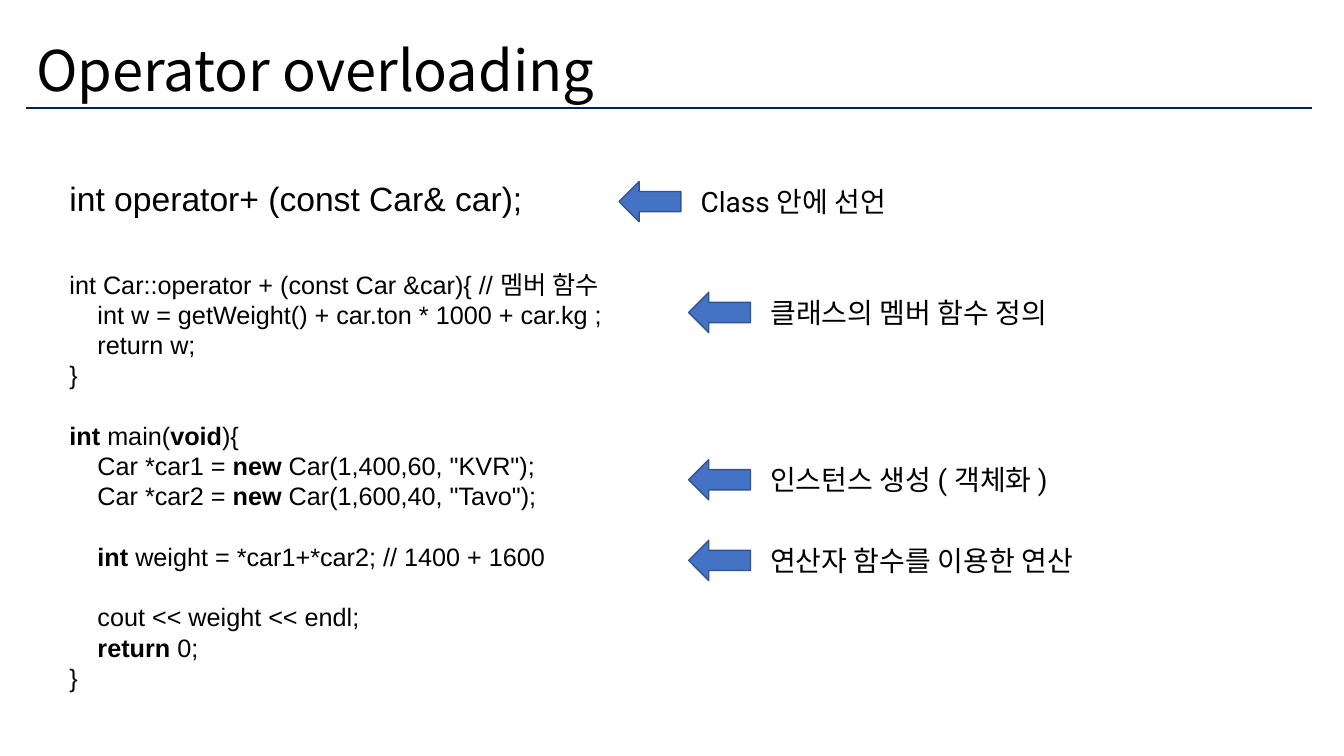
from pptx import Presentation
from pptx.dml.color import RGBColor
from pptx.enum.shapes import MSO_CONNECTOR, MSO_SHAPE
from pptx.enum.text import MSO_ANCHOR
from pptx.oxml.ns import qn
from pptx.util import Inches, Pt
from lxml import etree

LEFT_ARROW = MSO_SHAPE.LEFT_ARROW
STRAIGHT = MSO_CONNECTOR.STRAIGHT
TOP, MIDDLE = MSO_ANCHOR.TOP, MSO_ANCHOR.MIDDLE
BLACK = RGBColor(0x00, 0x00, 0x00)
NAVY = RGBColor(0x00, 0x20, 0x60)
BLUE = RGBColor(0x44, 0x72, 0xC4)
BLUE_EDGE = RGBColor(0x32, 0x54, 0x91)
KOREAN_FONT = "Noto Sans CJK KR"
LABEL_FONT = "Roboto"
CODE_FONT = "Arial"

deck = Presentation()
deck.slide_width, deck.slide_height = Inches(13.33), Inches(7.5)
page = deck.slides.add_slide(deck.slide_layouts[6])

# The page is a grid of 100 columns by 100 rows.
COLUMN = deck.slide_width / 100
ROW = deck.slide_height / 100


def style_span(span, font, size, bold=False):
    """Set the Latin and Korean fonts, size, weight and colour of a run."""
    span.font.name, span.font.size, span.font.bold = font, Pt(size), bold
    span.font.color.rgb = BLACK
    korean = etree.SubElement(span.font._element, qn("a:ea"))
    korean.set("typeface", KOREAN_FONT)


def add_text(text, column, row, columns, rows, font, size, anchor=TOP):
    """Add a one-style text box placed on the grid and return it."""
    box = page.shapes.add_textbox(
        int(column * COLUMN), int(row * ROW), int(columns * COLUMN), int(rows * ROW))
    box.text_frame.word_wrap = True
    box.text_frame.vertical_anchor = anchor
    box.text_frame.text = text
    for span in box.text_frame.paragraphs[0].runs:
        style_span(span, font, size)
    return box


# Title and its rule
title = add_text("Operator overloading", 1.95, 0, 97.15, 19.33, KOREAN_FONT, 40, MIDDLE)
title.text_frame.paragraphs[0].line_spacing = 0.9
rule_row = int(14.27 * ROW)
rule = page.shapes.add_connector(
    STRAIGHT, int(1.95 * COLUMN), rule_row, int(97.6 * COLUMN), rule_row)
rule.line.color.rgb, rule.line.width = NAVY, Pt(1)
etree.SubElement(rule._element.spPr, qn("a:effectLst"))

# Arrows with their labels: text, arrow column, arrow row, label columns
NOTES = [
    ("Class 안에 선언", 46.06, 24, 19.5),
    ("클래스의 멤버 함수 정의", 51.24, 38.67, 24.6),
    ("인스턴스 생성 ( 객체화 )", 51.24, 60.8, 29.5),
    ("연산자 함수를 이용한 연산", 51.24, 71.47, 29.5),
]
for text, column, row, columns in NOTES:
    arrow = page.shapes.add_shape(
        LEFT_ARROW, int(column * COLUMN), int(row * ROW),
        int(4.6 * COLUMN), int(5.33 * ROW))
    arrow.shadow.inherit = False
    arrow.fill.solid()
    arrow.fill.fore_color.rgb = BLUE
    arrow.line.color.rgb, arrow.line.width = BLUE_EDGE, Pt(1)
    add_text(text, column + 5.33, row - 0.27, columns, 5.87, LABEL_FONT, 20)

# Declaration
CODE_COLUMN, CODE_COLUMNS = 4.43, 50
add_text("int operator+ (const Car& car);", CODE_COLUMN, 22.93, CODE_COLUMNS, 6.67,
         CODE_FONT, 24)

# Program: indent level, skipped lines before, pieces of code (odd ones are bold)
PROGRAM = [
    (0, 0, ["int Car::operator + (const Car &car){ // 멤버 함수"]),
    (1, 0, ["int w = getWeight() + car.ton * 1000 + car.kg ;"]),
    (1, 0, ["return w;"]),
    (0, 0, ["}"]),
    (0, 1, ["", "int", " main(", "void", "){"]),
    (1, 0, ["Car *car1 = ", "new", ' Car(1,400,60, "KVR");']),
    (1, 0, ["Car *car2 = ", "new", ' Car(1,600,40, "Tavo");']),
    (1, 1, ["", "int", " weight = *car1+*car2; // 1400 + 1600"]),
    (1, 1, ["cout << weight << endl;"]),
    (1, 0, ["", "return", " 0;"]),
    (0, 0, ["}"]),
]
CODE_LINE = Pt(21.6)
INDENT = Pt(20)
program = add_text("", CODE_COLUMN, 34.93, CODE_COLUMNS, 66, CODE_FONT, 18)
for number, (level, skipped, pieces) in enumerate(PROGRAM):
    frame = program.text_frame
    para = frame.add_paragraph() if number else frame.paragraphs[0]
    para.line_spacing = CODE_LINE
    para.space_before = skipped * CODE_LINE
    para._p.get_or_add_pPr().set("marL", str(level * INDENT))
    for position, piece in enumerate(pieces):
        if piece:
            span = para.add_run()
            span.text = piece
            style_span(span, CODE_FONT, 18, bold=position % 2 == 1)

deck.save("out.pptx")
